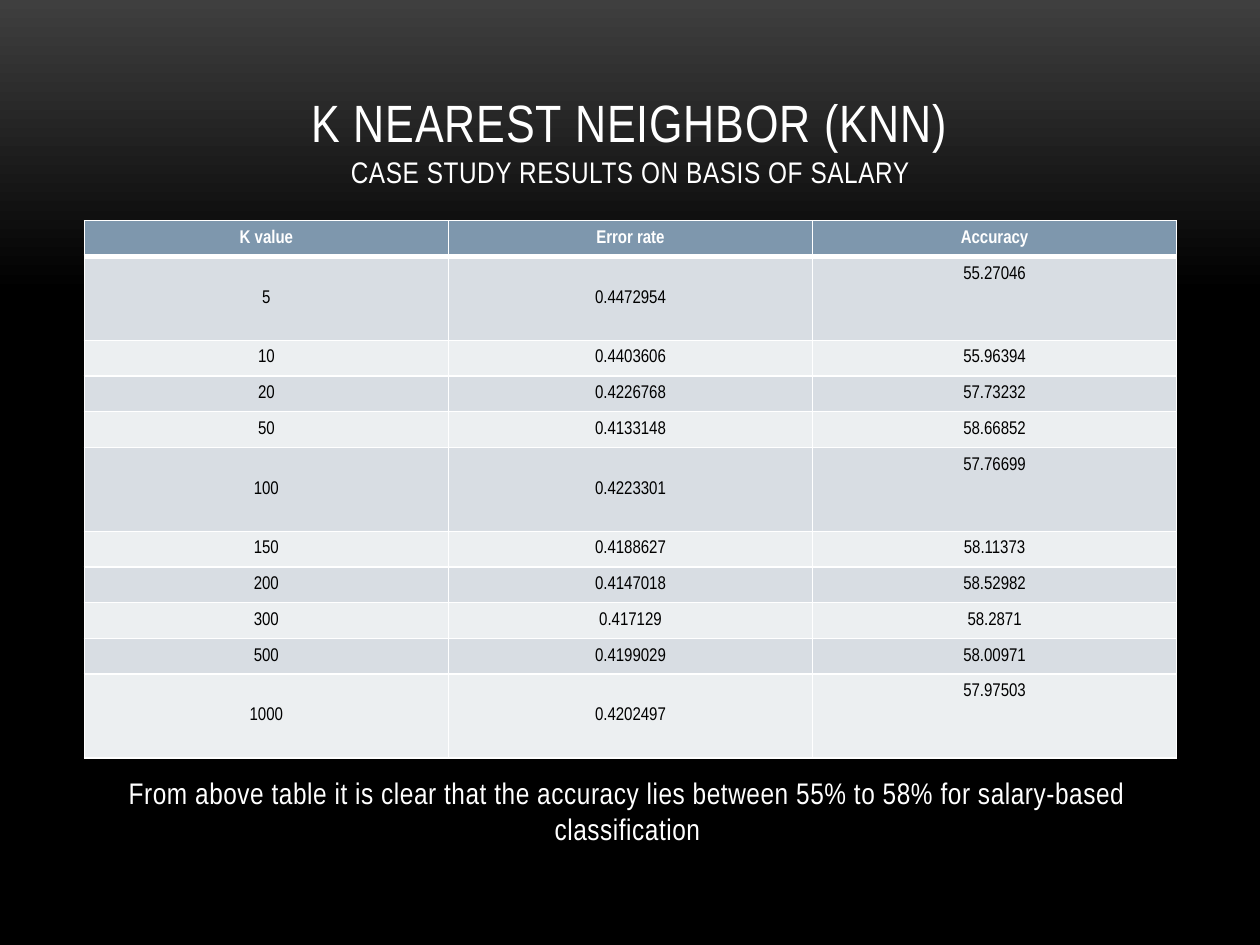
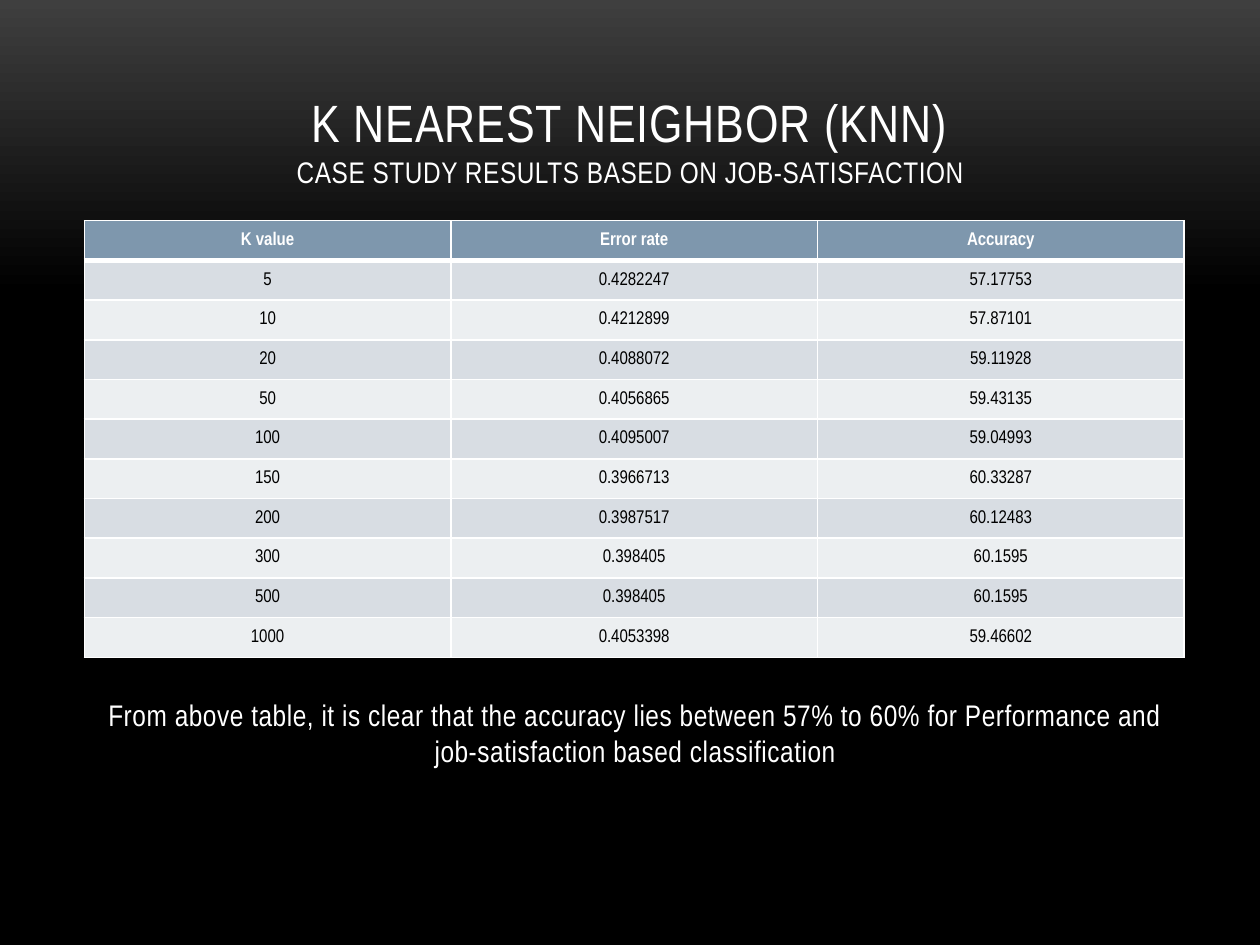
from dataclasses import dataclass

from lxml import etree
from pptx import Presentation
from pptx.dml.color import RGBColor
from pptx.enum.text import MSO_ANCHOR, PP_ALIGN
from pptx.oxml.ns import qn
from pptx.util import Cm, Pt

CENTER = PP_ALIGN.CENTER
TOP, MIDDLE, BOTTOM = MSO_ANCHOR.TOP, MSO_ANCHOR.MIDDLE, MSO_ANCHOR.BOTTOM
BLANK_LAYOUT = 6


@dataclass(frozen=True)
class Theme:
    font: str = "Arial Narrow"
    white: str = "FFFFFF"
    ink: str = "000000"
    glow: str = "3F3F3F"
    header: str = "7E97AD"
    bands: tuple = ("D8DDE3", "ECEFF1")
    title_size: float = 30
    text_size: float = 17
    cell_size: float = 10.5
    title_spacing: float = 0.5
    text_spacing: float = 0.3
    border: float = 1
    header_border: float = 3


class Deck:
    """Holds the theme and the slide being built."""

    left = Cm(1.7)
    table_top = Cm(4.45)

    def __init__(self, theme):
        self.theme = theme
        self.prs = Presentation()
        self.prs.slide_width, self.prs.slide_height = Cm(25.4), Cm(19.05)
        self.slide = None

    def new_slide(self):
        self.slide = self.prs.slides.add_slide(self.prs.slide_layouts[BLANK_LAYOUT])
        fill = self.slide.background.fill
        fill.gradient()
        fill.gradient_angle = 270
        stops = ((0, self.theme.glow), (0.31, self.theme.ink))
        for stop, (position, color) in zip(fill.gradient_stops, stops):
            stop.position = position
            stop.color.rgb = RGBColor.from_string(color)

    def add_text(self, paragraph, text, size, color, bold=False, spacing=0):
        paragraph.alignment = CENTER
        run = paragraph.add_run()
        run.text = text
        formats = {"name": self.theme.font, "size": Pt(size), "bold": bold}
        for name, value in formats.items():
            setattr(run.font, name, value)
        run.font.color.rgb = RGBColor.from_string(color)
        if spacing:
            run._r.get_or_add_rPr().set("spc", str(int(spacing * 100)))

    def text_frame(self, left, top, width, height, anchor):
        frame = self.slide.shapes.add_textbox(left, top, width, height).text_frame
        frame.word_wrap = True
        frame.vertical_anchor = anchor
        return frame

    def title(self, heading, subtitle):
        t = self.theme
        frame = self.text_frame(self.left, Cm(0.76), Cm(22.02), Cm(3.18), BOTTOM)
        line = frame.paragraphs[0]
        self.add_text(line, heading, t.title_size, t.white, spacing=t.title_spacing)
        line.add_line_break()
        self.add_text(line, subtitle, t.text_size, t.white, spacing=t.text_spacing)

    def conclusion(self, text, left, top, width):
        t = self.theme
        frame = self.text_frame(left, top, width, Cm(1.7), TOP)
        self.add_text(frame.paragraphs[0], text, t.text_size, t.white,
                      spacing=t.text_spacing)

    def borders(self, cell, bottom):
        widths = {"lnL": self.theme.border, "lnR": self.theme.border,
                  "lnT": self.theme.border, "lnB": bottom}
        properties = cell._tc.get_or_add_tcPr()
        for side, width in widths.items():
            line = etree.SubElement(properties, qn(f"a:{side}"), w=str(Pt(width)))
            solid = etree.SubElement(line, qn("a:solidFill"))
            etree.SubElement(solid, qn("a:srgbClr"), val=self.theme.white)

    def results_table(self, results, column_width, row_height,
                      tall_rows=(), tall_height=None):
        t = self.theme
        rows = [("K value", "Error rate", "Accuracy"), *results]
        heights = [tall_height if row[0] in tall_rows else row_height for row in rows]
        columns = len(rows[0])
        table = self.slide.shapes.add_table(
            len(rows), columns, self.left, self.table_top,
            column_width * columns, sum(heights)).table
        for column in table.columns:
            column.width = column_width
        for i, (row, height) in enumerate(zip(rows, heights)):
            table.rows[i].height = height
            is_header = i == 0
            fill = t.header if is_header else t.bands[(i - 1) % 2]
            for j, value in enumerate(row):
                cell = table.cell(i, j)
                cell.vertical_anchor = MIDDLE
                # Accuracy sits near the top of the tall rows
                if row[0] in tall_rows and j == columns - 1:
                    cell.vertical_anchor = TOP
                    cell.margin_top = Cm(0.19)
                self.borders(cell, t.header_border if is_header else t.border)
                cell.fill.solid()
                cell.fill.fore_color.rgb = RGBColor.from_string(fill)
                self.add_text(cell.text_frame.paragraphs[0], value, t.cell_size,
                              t.white if is_header else t.ink, bold=is_header)


SALARY_RESULTS = [
    ("5", "0.4472954", "55.27046"),
    ("10", "0.4403606", "55.96394"),
    ("20", "0.4226768", "57.73232"),
    ("50", "0.4133148", "58.66852"),
    ("100", "0.4223301", "57.76699"),
    ("150", "0.4188627", "58.11373"),
    ("200", "0.4147018", "58.52982"),
    ("300", "0.417129", "58.2871"),
    ("500", "0.4199029", "58.00971"),
    ("1000", "0.4202497", "57.97503"),
]
SATISFACTION_RESULTS = [
    ("5", "0.4282247", "57.17753"),
    ("10", "0.4212899", "57.87101"),
    ("20", "0.4088072", "59.11928"),
    ("50", "0.4056865", "59.43135"),
    ("100", "0.4095007", "59.04993"),
    ("150", "0.3966713", "60.33287"),
    ("200", "0.3987517", "60.12483"),
    ("300", "0.398405", "60.1595"),
    ("500", "0.398405", "60.1595"),
    ("1000", "0.4053398", "59.46602"),
]


def main():
    deck = Deck(Theme())
    heading = "K NEAREST NEIGHBOR (KNN)"

    # Salary
    deck.new_slide()
    deck.title(heading, "CASE STUDY RESULTS ON BASIS OF SALARY")
    deck.results_table(SALARY_RESULTS, Cm(7.34), Cm(0.72),
                       tall_rows=("5", "100", "1000"), tall_height=Cm(1.69))
    deck.conclusion("From above table it is clear that the accuracy lies between "
                    "55% to 58% for salary-based classification",
                    Cm(1.6), Cm(15.5), Cm(22.1))

    # Job satisfaction
    deck.new_slide()
    deck.title(heading, "CASE STUDY RESULTS BASED ON JOB-SATISFACTION")
    deck.results_table(SATISFACTION_RESULTS, Cm(7.39), Cm(0.8))
    deck.conclusion("From above table, it is clear that the accuracy lies between "
                    "57% to 60% for Performance and job-satisfaction based "
                    "classification",
                    Cm(1.9), Cm(13.92), Cm(21.82))

    deck.prs.save("out.pptx")


if __name__ == "__main__":
    main()
